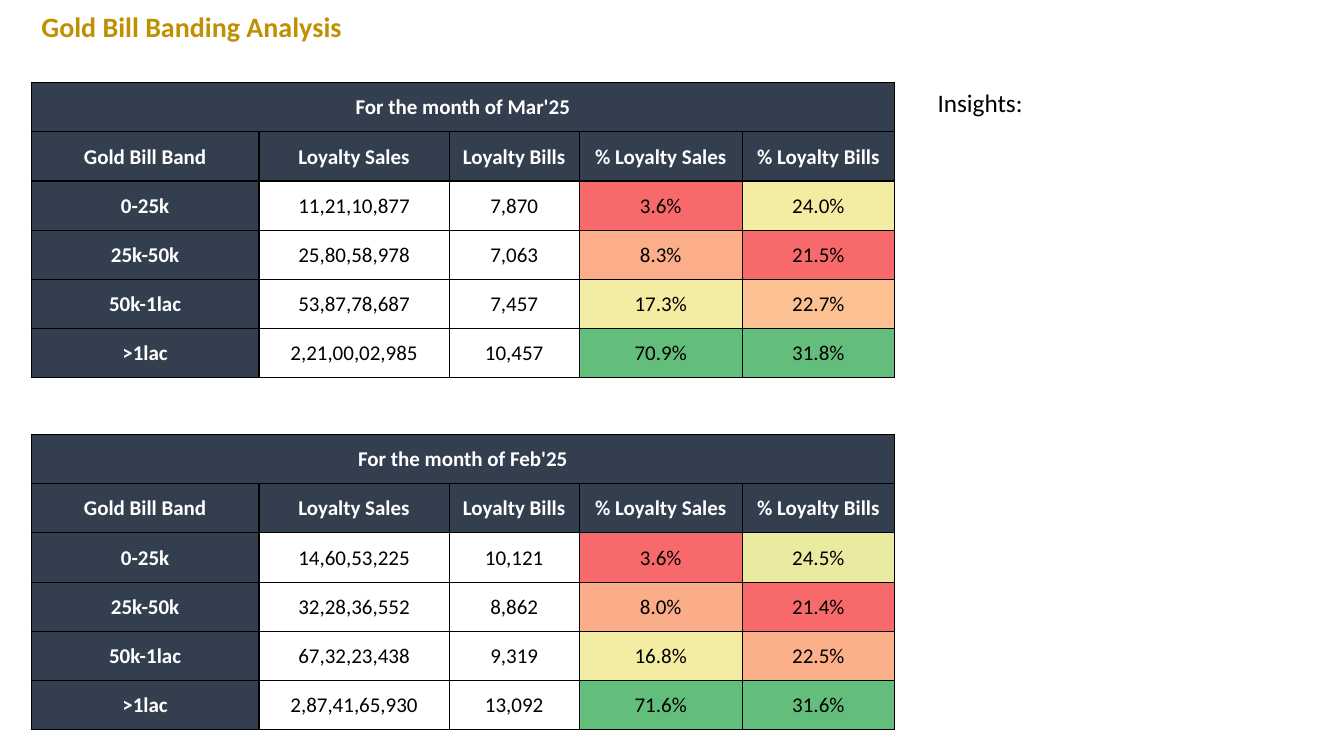
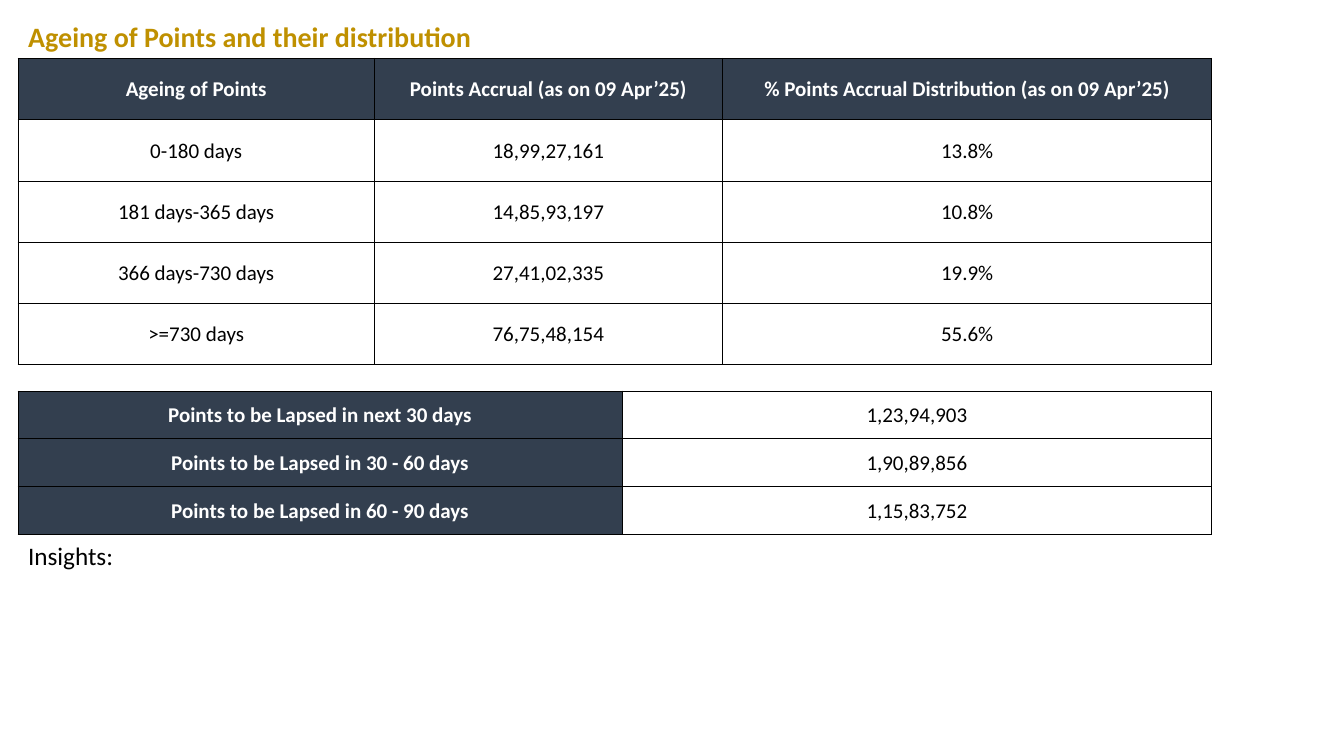
"""Build two slides on gold bill bands and the ageing of loyalty points."""
from pptx import Presentation
from pptx import util as u
from pptx.dml.color import RGBColor
from pptx.enum import text
from lxml import etree

DRAWING = "http://schemas.openxmlformats.org/drawingml/2006/main"
GOLD, NAVY, WHITE, BLACK = "BF9000", "333F4F", "FFFFFF", "000000"
RED, GREEN, CREAM = "F8696B", "63BE7B", "F2EDA3"
TITLE = {"size": u.Pt(20), "bold": True, "name": "Calibri"}
NOTE = {"size": u.Pt(18), "bold": False, "name": "Calibri"}
HEAD = {"size": u.Pt(15), "bold": True, "name": "Calibri"}
VALUE = {"size": u.Pt(15), "bold": False, "name": "Calibri"}
INSETS = {"margin_left": u.Inches(0.01), "margin_top": u.Inches(0.01),
          "margin_right": u.Inches(0.01), "margin_bottom": 0,
          "vertical_anchor": text.MSO_ANCHOR.MIDDLE}
FRAME = {"word_wrap": True, "vertical_anchor": text.MSO_ANCHOR.TOP,
         "auto_size": text.MSO_AUTO_SIZE.SHAPE_TO_FIT_TEXT}


def colour(value):
    """Turn a hex string into a colour."""
    return RGBColor.from_string(value)


def write(frame, words, look, ink, align):
    """Put one formatted line of text into a frame."""
    para = frame.paragraphs[0]
    para.alignment = align
    span = para.add_run()
    span.text = words
    for name, value in look.items():
        setattr(span.font, name, value)
    span.font.color.rgb = colour(ink)


deck = Presentation()
deck.slide_width, deck.slide_height = u.Inches(13.33), u.Inches(7.5)
COL, ROW = deck.slide_width / 100, deck.slide_height / 100

BAND_HEADS = ["Gold Bill Band", "Loyalty Sales", "Loyalty Bills",
              "% Loyalty Sales", "% Loyalty Bills"]
band_rule = {"widths": [2.26, 1.89, 1.29, 1.62, 1.51], "head_rows": 2, "head_cols": 1,
             "thick_rows": {0, 1, 2, 6}, "thick_cols": {0, 1, 3, 5}}
march = {
    "at": (2.33, 10.93, 64.22, 39.07), **band_rule,
    "rows": [["For the month of Mar'25"], BAND_HEADS,
             ["0-25k", "11,21,10,877", "7,870", "3.6%", "24.0%"],
             ["25k-50k", "25,80,58,978", "7,063", "8.3%", "21.5%"],
             ["50k-1lac", "53,87,78,687", "7,457", "17.3%", "22.7%"],
             [">1lac", "2,21,00,02,985", "10,457", "70.9%", "31.8%"]],
    "heat": [[RED, CREAM], ["FBAE89", RED], [CREAM, "FBC192"], [GREEN, GREEN]],
}
february = {
    "at": (2.33, 57.47, 64.22, 39.07), **band_rule,
    "rows": [["For the month of Feb'25"], BAND_HEADS,
             ["0-25k", "14,60,53,225", "10,121", "3.6%", "24.5%"],
             ["25k-50k", "32,28,36,552", "8,862", "8.0%", "21.4%"],
             ["50k-1lac", "67,32,23,438", "9,319", "16.8%", "22.5%"],
             [">1lac", "2,87,41,65,930", "13,092", "71.6%", "31.6%"]],
    "heat": [[RED, "EBEAA1"], ["FBAD89", RED], [CREAM, "FBB08A"], [GREEN, GREEN]],
}
ageing = {
    "at": (1.35, 7.73, 88.82, 40.53), "widths": [3.53, 3.45, 4.85],
    "head_rows": 1, "head_cols": 0, "thick_rows": {0, 1, 5}, "thick_cols": {0, 3},
    "rows": [["Ageing of Points", "Points Accrual (as on 09 Apr’25)",
              "% Points Accrual Distribution (as on 09 Apr’25)"],
             ["0-180 days", "18,99,27,161", "13.8%"],
             ["181 days-365 days", "14,85,93,197", "10.8%"],
             ["366 days-730 days", "27,41,02,335", "19.9%"],
             [">=730 days", "76,75,48,154", "55.6%"]],
    "heat": [],
}
lapsing = {
    "at": (1.35, 51.73, 88.82, 18.93), "widths": [5.99, 5.85],
    "head_rows": 0, "head_cols": 1, "thick_rows": {0, 3}, "thick_cols": {0, 2},
    "rows": [["Points to be Lapsed in next 30 days", "1,23,94,903"],
             ["Points to be Lapsed in 30 - 60 days", "1,90,89,856"],
             ["Points to be Lapsed in 60 - 90 days", "1,15,83,752"]],
    "heat": [],
}
PAGES = [
    ("Gold Bill Banding Analysis", (2.33, 0.53, 94.37, 5.87),
     (69.02, 10.93, 28.66, 5.33), [march, february]),
    ("Ageing of Points and their distribution", (1.35, 1.87, 76.44, 5.87),
     (1.35, 70.8, 89.87, 5.33), [ageing, lapsing]),
]

for heading, title_at, note_at, tables in PAGES:
    page = deck.slides.add_slide(deck.slide_layouts[5])
    title = page.shapes.title
    note = page.shapes.add_textbox(0, 0, 0, 0)
    for box, place, words, look, ink in [(title, title_at, heading, TITLE, GOLD),
                                         (note, note_at, "Insights:", NOTE, BLACK)]:
        for side, share, unit in zip(("left", "top", "width", "height"), place,
                                     (COL, ROW, COL, ROW)):
            setattr(box, side, round(share * unit))
        for name, value in FRAME.items():
            setattr(box.text_frame, name, value)
        write(box.text_frame, words, look, ink, text.PP_ALIGN.LEFT)

    for plan in tables:
        left, top, width, height = plan["at"]
        rows, widths = plan["rows"], plan["widths"]
        table = page.shapes.add_table(
            len(rows), len(widths), round(left * COL), round(top * ROW),
            round(width * COL), round(height * ROW)).table
        table.first_row = table.horz_banding = False
        for column, part in zip(table.columns, widths):
            column.width = round(width * COL * part / sum(widths))
        last = len(widths) - 1
        for r, values in enumerate(rows):
            if len(values) == 1:
                table.cell(r, 0).merge(table.cell(r, last))
            for c in range(len(widths)):
                cell = table.cell(r, c)
                borders = {"lnL": c in plan["thick_cols"], "lnR": c + 1 in plan["thick_cols"],
                           "lnT": r in plan["thick_rows"], "lnB": r + 1 in plan["thick_rows"]}
                if cell.is_spanned:
                    borders.pop("lnL")
                    if c < last:
                        borders.pop("lnR")
                for name, value in INSETS.items():
                    setattr(cell, name, value)
                for tag, thick in borders.items():
                    line = etree.SubElement(cell._tc.get_or_add_tcPr(), f"{{{DRAWING}}}{tag}",
                                            w=str(u.Pt(1 if thick else 0.5)))
                    paint = etree.SubElement(line, f"{{{DRAWING}}}solidFill")
                    etree.SubElement(paint, f"{{{DRAWING}}}srgbClr", val=BLACK)
                is_head = r < plan["head_rows"] or c < plan["head_cols"]
                fill = NAVY if is_head else None
                if plan["heat"] and not is_head and c > last - 2:
                    fill = plan["heat"][r - plan["head_rows"]][c - last + 1]
                if fill:
                    cell.fill.solid()
                    cell.fill.fore_color.rgb = colour(fill)
                else:
                    cell.fill.background()
                if c < len(values):
                    write(cell.text_frame, values[c], HEAD if is_head else VALUE,
                          WHITE if is_head else BLACK, text.PP_ALIGN.CENTER)

deck.save("out.pptx")
